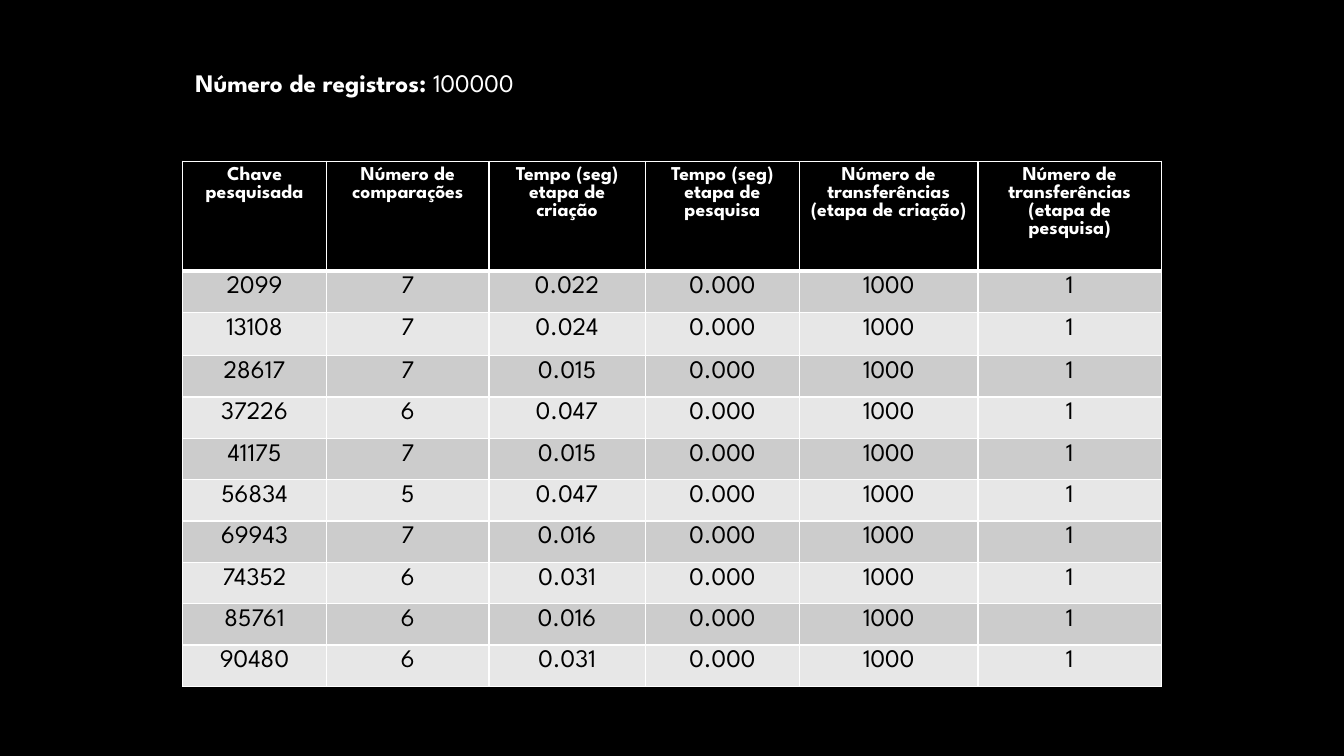
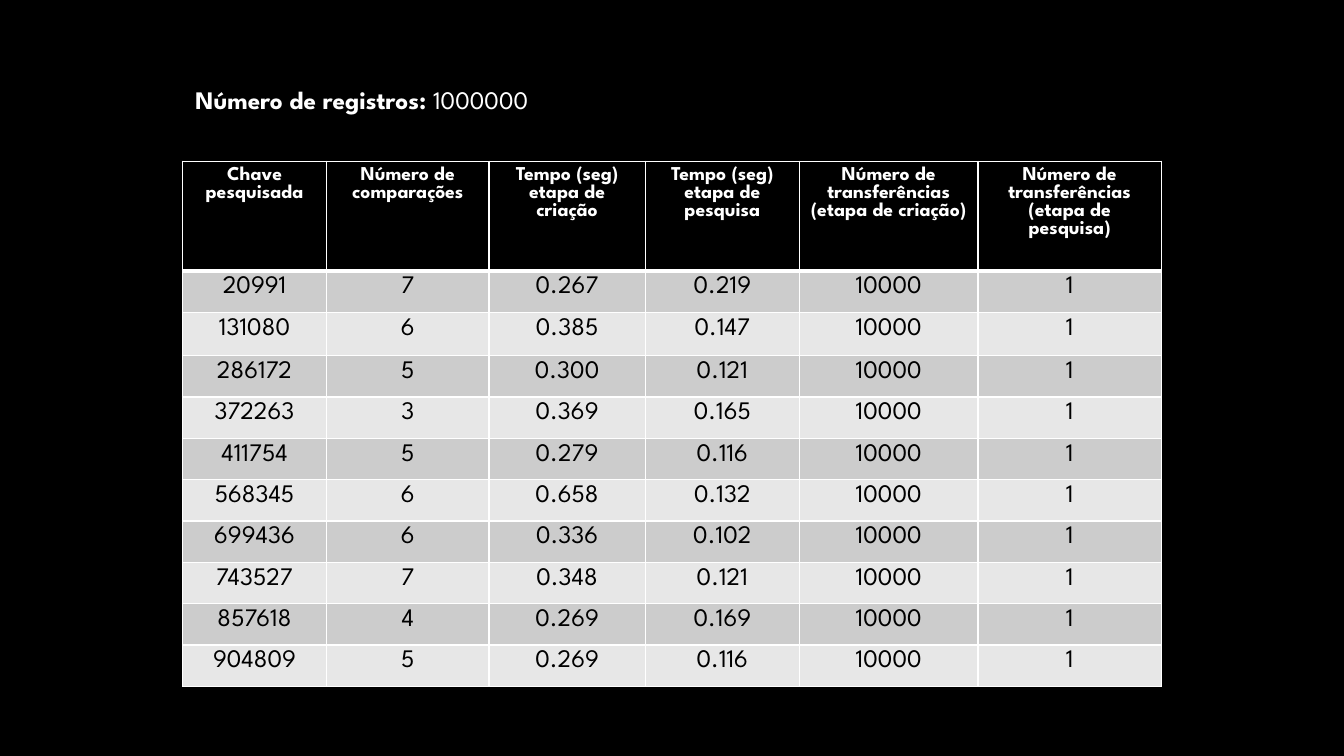
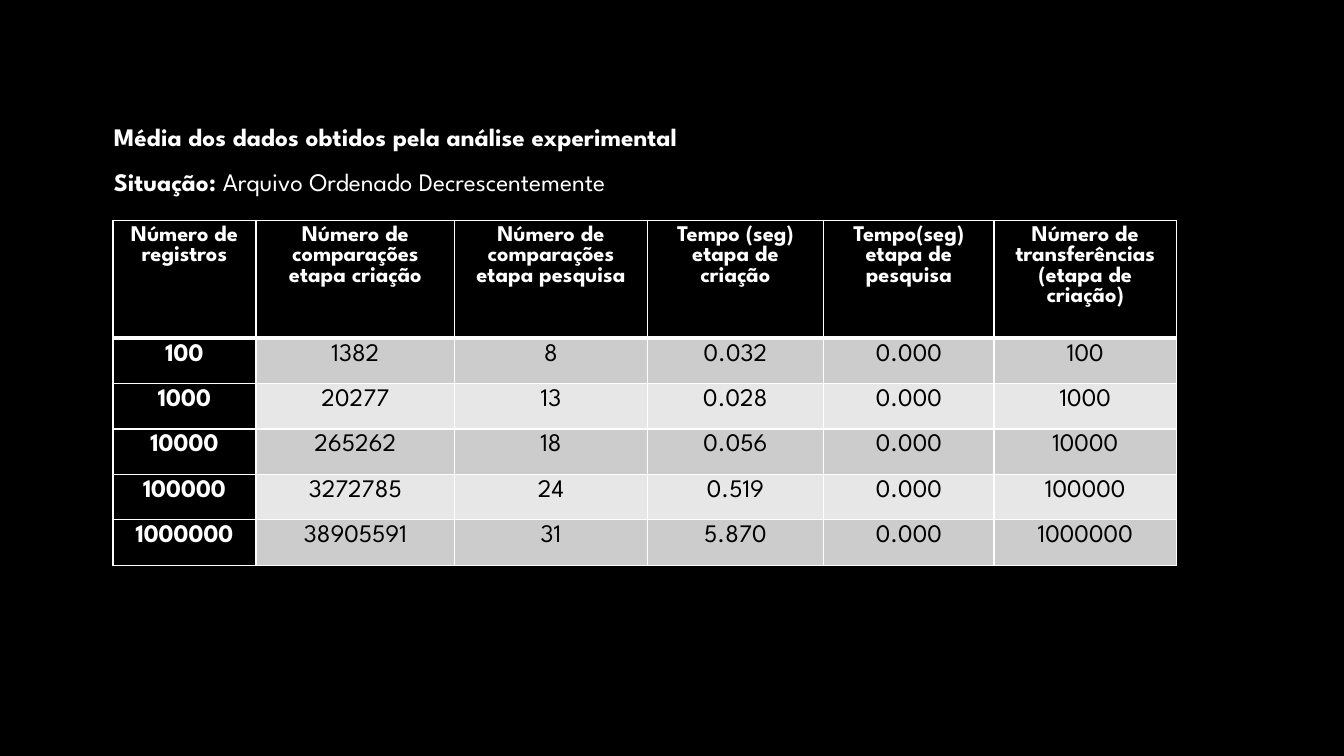
"""Build three slides of search measurements shown as tables."""
from lxml.etree import SubElement
from pptx import Presentation
from pptx.dml.color import RGBColor
from pptx.enum.text import MSO_AUTO_SIZE as AutoSize, PP_ALIGN as Align
from pptx.oxml.ns import qn
from pptx.util import Inches, Pt

FONT = "League Spartan"
COLORS = {"black": "000000", "white": "FFFFFF", "odd": "CCCCCC", "even": "E7E7E7"}

SEARCH_COLUMNS = {
    "Chave pesquisada": 1.43,
    "Número de comparações": 1.61,
    "Tempo (seg) etapa de criação": 1.55,
    "Tempo (seg) etapa de pesquisa": 1.53,
    "Número de transferências (etapa de criação)": 1.77,
    "Número de transferências (etapa de pesquisa)": 1.82,
}
SEARCH_HEIGHTS = [1.09, 0.41, 0.43] + [0.41] * 8
AVERAGE_COLUMNS = {
    "Número de registros": 1.42,
    "Número de comparações etapa criação": 1.97,
    "Número de comparações etapa pesquisa": 1.91,
    "Tempo (seg) etapa de criação": 1.75,
    "Tempo(seg) etapa de pesquisa": 1.69,
    "Número de transferências (etapa de criação)": 1.81,
}
AVERAGE_HEIGHTS = [1.16] + [0.45] * 5

SEARCHES_100000 = [
    ("2099", "7", "0.022", "0.000", "1000", "1"),
    ("13108", "7", "0.024", "0.000", "1000", "1"),
    ("28617", "7", "0.015", "0.000", "1000", "1"),
    ("37226", "6", "0.047", "0.000", "1000", "1"),
    ("41175", "7", "0.015", "0.000", "1000", "1"),
    ("56834", "5", "0.047", "0.000", "1000", "1"),
    ("69943", "7", "0.016", "0.000", "1000", "1"),
    ("74352", "6", "0.031", "0.000", "1000", "1"),
    ("85761", "6", "0.016", "0.000", "1000", "1"),
    ("90480", "6", "0.031", "0.000", "1000", "1"),
]
SEARCHES_1000000 = [
    ("20991", "7", "0.267", "0.219", "10000", "1"),
    ("131080", "6", "0.385", "0.147", "10000", "1"),
    ("286172", "5", "0.300", "0.121", "10000", "1"),
    ("372263", "3", "0.369", "0.165", "10000", "1"),
    ("411754", "5", "0.279", "0.116", "10000", "1"),
    ("568345", "6", "0.658", "0.132", "10000", "1"),
    ("699436", "6", "0.336", "0.102", "10000", "1"),
    ("743527", "7", "0.348", "0.121", "10000", "1"),
    ("857618", "4", "0.269", "0.169", "10000", "1"),
    ("904809", "5", "0.269", "0.116", "10000", "1"),
]
AVERAGES = [
    ("100", "1382", "8", "0.032", "0.000", "100"),
    ("1000", "20277", "13", "0.028", "0.000", "1000"),
    ("10000", "265262", "18", "0.056", "0.000", "10000"),
    ("100000", "3272785", "24", "0.519", "0.000", "100000"),
    ("1000000", "38905591", "31", "5.870", "0.000", "1000000"),
]


def rgb(name):
    """Return the named colour."""
    return RGBColor.from_string(COLORS[name])


def add_run(paragraph, text, size=18, color="white", bold=False):
    """Add formatted text to a paragraph."""
    run = paragraph.add_run()
    run.text = text
    run.font.name = FONT
    run.font.size = Pt(size)
    run.font.bold = bold
    run.font.color.rgb = rgb(color)


def add_slide(presentation):
    """Add a blank slide with a black background."""
    slide = presentation.slides.add_slide(presentation.slide_layouts[6])
    slide.background.fill.solid()
    slide.background.fill.fore_color.rgb = rgb("black")
    return slide


def add_caption(slide, left, top, width, height, lines, spacing=None):
    """Add a caption whose lines pair a bold label with a plain value."""
    box = slide.shapes.add_textbox(Inches(left), Inches(top), Inches(width), Inches(height))
    frame = box.text_frame
    frame.word_wrap = False
    frame.auto_size = AutoSize.SHAPE_TO_FIT_TEXT
    for index, (label, value) in enumerate(lines):
        paragraph = frame.add_paragraph() if index else frame.paragraphs[0]
        paragraph.line_spacing = spacing
        add_run(paragraph, label, bold=True)
        if value:
            add_run(paragraph, value)


def set_borders(cell, top=1, bottom=1):
    """Draw white borders around a cell."""
    properties = cell._tc.get_or_add_tcPr()
    for side, width in {"L": 1, "R": 1, "T": top, "B": bottom}.items():
        line = SubElement(properties, qn(f"a:ln{side}"), w=str(Pt(width)))
        fill = SubElement(line, qn("a:solidFill"))
        SubElement(fill, qn("a:srgbClr"), val=COLORS["white"])


def fill_cell(cell, text, fill, **text_format):
    """Fill a cell and centre its text."""
    cell.fill.solid()
    cell.fill.fore_color.rgb = rgb(fill)
    paragraph = cell.text_frame.paragraphs[0]
    paragraph.alignment = Align.CENTER
    add_run(paragraph, text, **text_format)


def add_data_table(slide, left, top, columns, heights, rows, header_size, label_column=False):
    """Add a banded table with a black header row."""
    widths = list(columns.values())
    table = slide.shapes.add_table(
        len(heights), len(widths), Inches(left), Inches(top),
        Inches(sum(widths)), Inches(sum(heights))).table
    for column, width in zip(table.columns, widths):
        column.width = Inches(width)
    for row, height in zip(table.rows, heights):
        row.height = Inches(height)
    for row_index, values in enumerate([tuple(columns), *rows]):
        for column_index, text in enumerate(values):
            cell = table.cell(row_index, column_index)
            set_borders(cell, top=3 if row_index == 1 else 1, bottom=1 if row_index else 3)
            if row_index == 0:
                fill_cell(cell, text, "black", size=header_size, bold=True)
            elif label_column and column_index == 0:
                fill_cell(cell, text, "black", bold=True)
            else:
                fill_cell(cell, text, "odd" if row_index % 2 else "even", color="black")


def add_search_slide(presentation, record_count, rows, caption_top, caption_width):
    """Add a slide with the searches made in a file of the given size."""
    slide = add_slide(presentation)
    add_data_table(slide, 1.81, 1.6, SEARCH_COLUMNS, SEARCH_HEIGHTS, rows, header_size=14)
    add_caption(slide, 1.84, caption_top, caption_width, 0.4,
                [("Número de registros: ", record_count)])


def add_average_slide(presentation):
    """Add the slide with the averages of the experiment."""
    slide = add_slide(presentation)
    add_data_table(slide, 1.12, 2.19, AVERAGE_COLUMNS, AVERAGE_HEIGHTS, AVERAGES,
                   header_size=16, label_column=True)
    add_caption(slide, 1.03, 1, 6.58, 1.01, [
        ("Média dos dados obtidos pela análise experimental", ""),
        ("Situação: ", "Arquivo Ordenado Decrescentemente"),
    ], spacing=1.5)


def main():
    """Build and save the presentation."""
    presentation = Presentation()
    presentation.slide_width = Inches(13.33)
    presentation.slide_height = Inches(7.5)
    add_search_slide(presentation, "100000", SEARCHES_100000, 0.62, 3.64)
    add_search_slide(presentation, "1000000", SEARCHES_1000000, 0.79, 3.78)
    add_average_slide(presentation)
    presentation.save("out.pptx")


if __name__ == "__main__":
    main()
